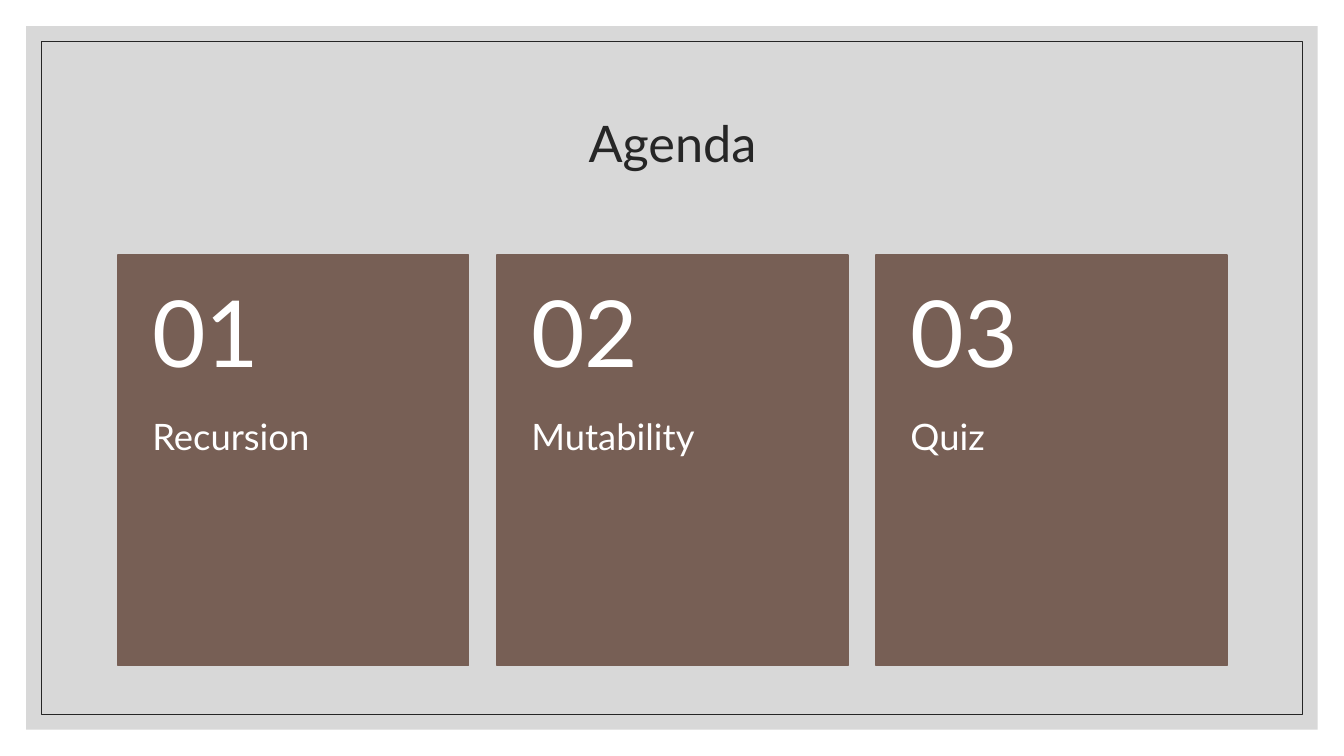
from dataclasses import dataclass

from lxml.etree import SubElement
from pptx import Presentation
from pptx.dml.color import RGBColor as RGB
from pptx.enum.shapes import MSO_SHAPE as SHAPE
from pptx.enum.text import MSO_ANCHOR as ANCHOR, MSO_AUTO_SIZE as AUTO, PP_ALIGN as ALIGN
from pptx.oxml.ns import qn
from pptx.util import Inches, Pt

TITLE = "Agenda"
TOPICS = ["Recursion", "Mutability", "Quiz"]


@dataclass(frozen=True)
class Theme:
    font: str = "Lato"
    panel: RGB = RGB(0xBF, 0xBF, 0xBF)
    panel_alpha: int = 60
    ink: RGB = RGB(0x26, 0x26, 0x26)
    card: RGB = RGB(0x77, 0x5F, 0x55)
    card_text: RGB = RGB(0xFF, 0xFF, 0xFF)
    title_size: int = 36
    number_size: int = 66
    topic_size: int = 26


THEME = Theme()
SLIDE_W, SLIDE_H = 13.33, 7.5
PANEL_MARGIN, BORDER_MARGIN = 0.26, 0.41
LEFT, TOP = 1.17, 2.53
CARD_W, CARD_H, GAP = 3.48, 4.07, 0.28
NUMBER_H = 1.63
PAD_X, PAD_Y, PAD_BOTTOM = 0.34, 0.18, 0.36


def add_rect(shapes, box, fill=None, line=None, width=1):
    sp = shapes.add_shape(SHAPE.RECTANGLE, *map(Inches, box))
    sp.shadow.inherit = False
    if fill is None:
        sp.fill.background()
    else:
        sp.fill.solid()
        sp.fill.fore_color.rgb = fill
    if line is None:
        sp.line.fill.background()
    else:
        sp.line.color.rgb = line
        sp.line.width = Pt(width)
    return sp


def inset_rect(shapes, margin, **style):
    box = (margin, margin, SLIDE_W - 2 * margin, SLIDE_H - 2 * margin)
    return add_rect(shapes, box, **style)


def set_text(tf, text, size, color, anchor):
    tf.text = text
    tf.word_wrap = True
    tf.auto_size = AUTO.NONE
    tf.vertical_anchor = anchor
    p = tf.paragraphs[0]
    p.line_spacing = 0.9
    font = p.runs[0].font
    font.name, font.size, font.color.rgb = THEME.font, Pt(size), color
    return p


def add_label(shapes, box, text, size, anchor, pad_top, pad_bottom):
    tf = shapes.add_textbox(*map(Inches, box)).text_frame
    tf.margin_left = tf.margin_right = Inches(PAD_X)
    tf.margin_top, tf.margin_bottom = Inches(pad_top), Inches(pad_bottom)
    p = set_text(tf, text, size, THEME.card_text, anchor)
    after = SubElement(p._p.get_or_add_pPr(), qn("a:spcAft"))
    SubElement(after, qn("a:spcPct")).set("val", "35000")


def add_card(s, index, topic):
    x = LEFT + index * (CARD_W + GAP)
    shapes = s.shapes.add_group_shape().shapes
    add_rect(shapes, (x, TOP, CARD_W, CARD_H), fill=THEME.card, line=THEME.card)
    add_label(shapes, (x, TOP + NUMBER_H, CARD_W, CARD_H - NUMBER_H), topic,
              THEME.topic_size, ANCHOR.TOP, 0, PAD_BOTTOM)
    add_label(shapes, (x, TOP, CARD_W, NUMBER_H), f"{index + 1:02}",
              THEME.number_size, ANCHOR.MIDDLE, PAD_Y, PAD_Y)


def main():
    """Build the agenda slide."""
    prs = Presentation()
    prs.slide_width, prs.slide_height = Inches(SLIDE_W), Inches(SLIDE_H)
    s = prs.slides.add_slide(prs.slide_layouts[5])

    title = s.shapes.title
    title.left, title.top = Inches(LEFT), Inches(0.7)
    title.width, title.height = Inches(11), Inches(1.5)
    p = set_text(title.text_frame, TITLE, THEME.title_size, THEME.ink, ANCHOR.MIDDLE)
    p.alignment = ALIGN.CENTER

    panel = inset_rect(s.shapes, PANEL_MARGIN, fill=THEME.panel)
    color = panel._element.spPr.find(qn("a:solidFill"))[0]
    SubElement(color, qn("a:alpha")).set("val", str(THEME.panel_alpha * 1000))
    border = inset_rect(s.shapes, BORDER_MARGIN, line=THEME.ink, width=0.5)
    for sp in (panel, border):
        title._element.addprevious(sp._element)

    for index, topic in enumerate(TOPICS):
        add_card(s, index, topic)
    prs.save("out.pptx")


if __name__ == "__main__":
    main()
